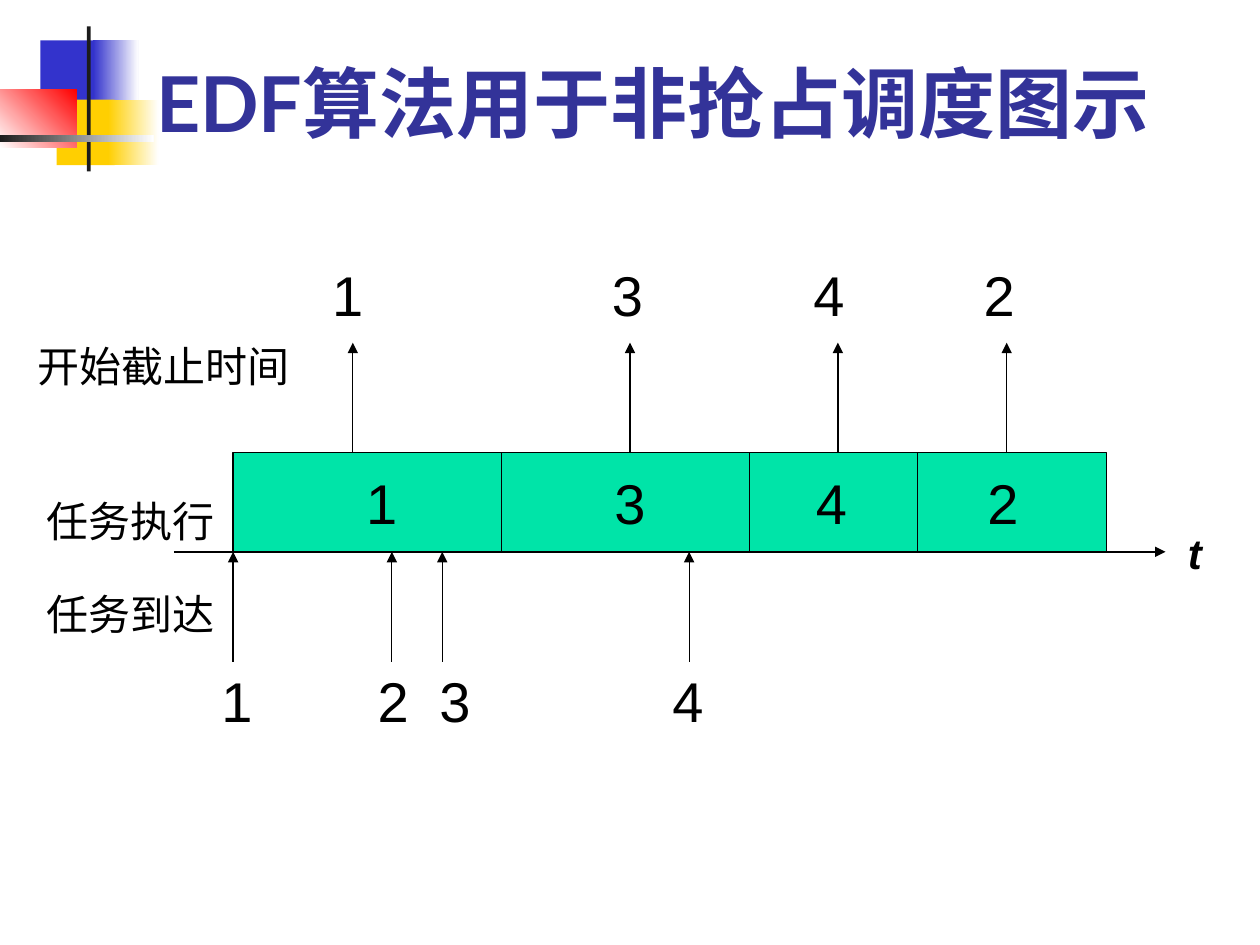
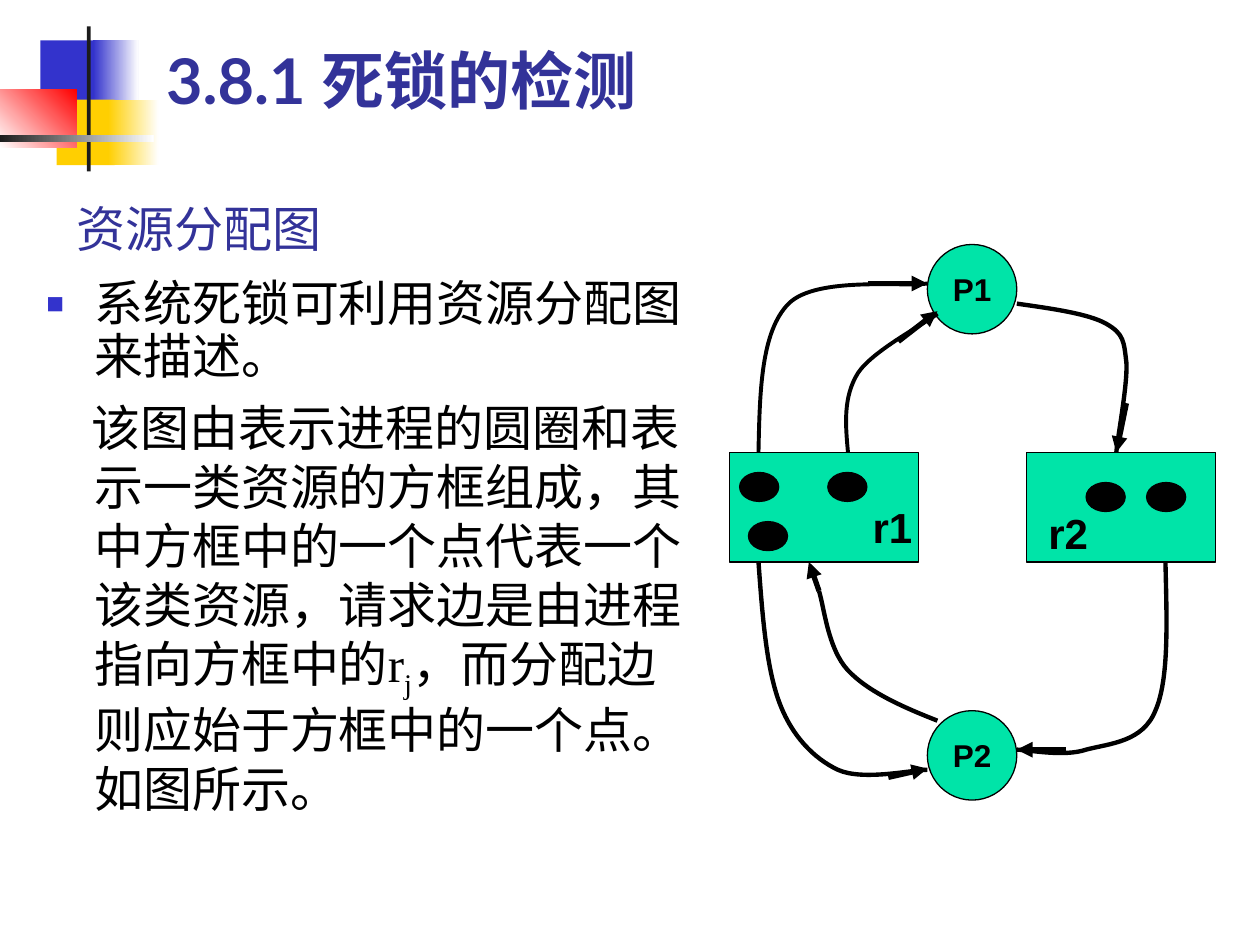
from lxml import etree
from pptx import Presentation
from pptx.dml.color import RGBColor
from pptx.enum.shapes import MSO_CONNECTOR, MSO_SHAPE
from pptx.enum.text import MSO_ANCHOR, PP_ALIGN
from pptx.oxml.ns import qn
from pptx.util import Inches, Pt

RECT, OVAL, STRAIGHT = MSO_SHAPE.RECTANGLE, MSO_SHAPE.OVAL, MSO_CONNECTOR.STRAIGHT
TOP, MIDDLE, BOTTOM = MSO_ANCHOR.TOP, MSO_ANCHOR.MIDDLE, MSO_ANCHOR.BOTTOM
LEFT, CENTER, RIGHT = PP_ALIGN.LEFT, PP_ALIGN.CENTER, PP_ALIGN.RIGHT

COLORS = {"title": "333399", "blue": "3333CC", "yellow": "FFCF01", "red": "FF0000",
          "dark": "1C1C1C", "green": "00E4A8", "black": "000000", "white": "FFFFFF"}
INSETS = (0.1, 0.05, 0.1, 0.05)
TITLE = {"font": "Lato", "color": "title", "bold": True, "anchor": BOTTOM}

# Corner ornament: place, colours (two make a gradient), gradient angle
ORNAMENT = [
    ((0.32, 0.32, 0.48, 0.52), ("blue",), 0),
    ((0.74, 0.32, 0.36, 0.52), ("blue", "white"), 0),
    ((0.45, 0.79, 0.46, 0.52), ("yellow",), 0),
    ((0.86, 0.79, 0.4, 0.52), ("yellow", "white"), 0),
    ((0, 0.71, 0.61, 0.46), ("white", "red"), 45),
    ((0.69, 0.21, 0.03, 1.15), ("dark",), 0),
    ((0, 1.07, 1.22, 0.06), ("dark", "white"), 0),
]

# Schedule: each number with the x of its centre
BAR_LEFT, BAR_RIGHT, BAR_TOP, AXIS_Y = 1.85, 8.78, 3.59, 4.38
ARROW_LENGTH = 0.87
TASK_BORDERS = [3.98, 5.95, 7.28]
EXECUTED = [("1", 3.03), ("3", 5), ("4", 6.6), ("2", 7.96)]
DEADLINES = [("1", 2.76), ("3", 4.98), ("4", 6.58), ("2", 7.93)]
ARRIVALS = [("1", 1.88), ("2", 3.12), ("3", 3.61), ("4", 5.46)]
DEADLINE_ARROWS = [2.8, 5, 6.65, 7.99]
ARRIVAL_ARROWS = [1.85, 3.11, 3.51, 5.47]
ROW_LABELS = [("开始截止时间", (0.2, 2.65, 2.6, 0.5)),
              ("任务执行", (0.27, 3.88, 1.58, 0.5)),
              ("任务到达", (0.27, 4.62, 1.58, 0.5))]

# Resource graph
INTRO = "系统死锁可利用资源分配图来描述。"
EXPLANATION = [
    ("该图由表示进程的圆圈和表示一类资源的方框组成，其中方框中的一个点代表"
     "一个该类资源，请求边是由进程指向方框中的r", 0),
    ("j", -25000),
    ("，而分配边则应始于方框中的一个点。如图所示。", 0),
]
RESOURCES = [("r1", 5.79, RIGHT, (0.1, 0.05, 0.05, 0.08)),
             ("r2", 8.15, LEFT, (0.17, 0.05, 0.1, 0.03))]
PROCESSES = [("P2", 5.64), ("P1", 1.94)]
UNITS = [(5.87, 3.75), (6.57, 3.75), (5.94, 4.14), (8.62, 3.83), (9.1, 3.83)]
# Edges: curve width, Bezier points (start, then threes), arrow from, arrow to
EDGES = [
    (2.5, [(7.44, 5.72), (7.16, 5.61), (6.89, 5.49), (6.73, 5.32),
           (6.57, 5.15), (6.54, 4.81), (6.5, 4.69)], (6.5, 4.69), (6.42, 4.46)),
    (2.25, [(6.02, 3.59), (6.03, 3.11), (6.04, 2.63), (6.26, 2.41),
            (6.48, 2.19), (7.18, 2.28), (7.36, 2.25)], (6.89, 2.25), (7.36, 2.25)),
    (2.25, [(6.73, 3.59), (6.71, 3.37), (6.69, 3.15), (6.81, 2.96),
            (6.93, 2.78), (7.34, 2.57), (7.44, 2.49)], (7.13, 2.71), (7.44, 2.47)),
    (2.5, [(8.07, 2.41), (8.35, 2.45), (8.64, 2.49), (8.78, 2.57),
           (8.92, 2.65), (8.92, 2.71), (8.94, 2.88),
           (8.95, 3.05), (8.87, 3.47), (8.86, 3.59)], (8.94, 3.2), (8.86, 3.59)),
    (2.5, [(9.25, 4.46), (9.26, 4.92), (9.28, 5.39), (9.17, 5.64),
           (9.07, 5.89), (8.81, 5.9), (8.62, 5.95),
           (8.44, 6.01), (8.16, 5.95), (8.07, 5.95)], (8.46, 5.95), (8.07, 5.95)),
    (2.5, [(6.02, 4.46), (6.05, 4.87), (6.08, 5.28), (6.18, 5.56),
           (6.28, 5.84), (6.46, 6.02), (6.65, 6.11),
           (6.85, 6.2), (7.24, 6.11), (7.36, 6.11)], (7.05, 6.17), (7.36, 6.1)),
]


def rgb(name):
    return RGBColor.from_string(COLORS[name])


def set_frame(box, anchor=TOP, insets=INSETS):
    frame = box.text_frame
    frame.word_wrap = True
    frame.vertical_anchor = anchor
    (frame.margin_left, frame.margin_top,
     frame.margin_right, frame.margin_bottom) = map(Inches, insets)
    return frame


def set_font(para, size, font="Arial", color="black", bold=False, italic=False):
    para.font.name, para.font.size = font, Pt(size)
    para.font.bold, para.font.italic = bold, italic
    para.font.color.rgb = rgb(color)


def write(box, text, size, anchor=TOP, align=LEFT, insets=INSETS, **style):
    para = set_frame(box, anchor, insets).paragraphs[0]
    para.text, para.alignment = text, align
    set_font(para, size, **style)


def add_box(page, place):
    return page.shapes.add_textbox(*map(Inches, place))


def add_block(page, kind, place, fill, outlined=True):
    block = page.shapes.add_shape(kind, *map(Inches, place))
    block.shadow.inherit = False
    block.fill.solid()
    block.fill.fore_color.rgb = rgb(fill)
    if outlined:
        block.line.color.rgb = rgb("black")
        block.line.width = Pt(0.75)
    else:
        block.line.fill.background()
    return block


def add_line(page, start, end, width=0.75, arrow=True):
    line = page.shapes.add_connector(STRAIGHT, *map(Inches, start + end))
    line.line.color.rgb = rgb("black")
    line.line.width = Pt(width)
    if arrow:
        etree.SubElement(line.line._get_or_add_ln(), qn("a:tailEnd"), type="triangle")
    etree.SubElement(line._element.spPr, qn("a:effectLst"))


def add_curve(page, points, width):
    """Lay out the points as a freeform, then turn each three segments into a Bezier."""
    corners = [(Inches(x), Inches(y)) for x, y in points]
    builder = page.shapes.build_freeform(*corners[0])
    builder.add_line_segments(corners[1:], close=False)
    curve = builder.convert_to_shape()
    segments = list(curve._element.iter(qn("a:lnTo")))
    for first in range(0, len(segments), 3):
        bezier = etree.SubElement(segments[first].getparent(), qn("a:cubicBezTo"))
        for segment in segments[first:first + 3]:
            bezier.append(segment[0])
            segment.getparent().remove(segment)
    curve.shadow.inherit = False
    curve.fill.background()
    curve.line.color.rgb = rgb("black")
    curve.line.width = Pt(width)


def write_numbers(box, left, numbers, anchor=TOP):
    """Centre each number on its x by means of tab stops."""
    frame = set_frame(box, anchor, (0, 0.05, 0, 0.05))
    para = frame.paragraphs[0]
    para.text = "".join("\t" + number for number, _ in numbers)
    para.alignment = LEFT
    stops = etree.SubElement(para._p.get_or_add_pPr(), qn("a:tabLst"))
    for _, x in numbers:
        etree.SubElement(stops, qn("a:tab"), pos=str(Inches(x - left)), algn="ctr")
    set_font(para, 32)


def add_page(deck):
    page = deck.slides.add_slide(deck.slide_layouts[6])
    for place, colors, angle in ORNAMENT:
        block = add_block(page, RECT, place, colors[0], outlined=False)
        if len(colors) == 2:
            block.fill.gradient()
            block.fill.gradient_angle = angle
            for stop, color in zip(block.fill.gradient_stops, colors):
                stop.color.rgb = rgb(color)
    return page


def build_schedule(deck):
    page = add_page(deck)
    write(add_box(page, (1.14, 0.36, 8.59, 0.86)), "EDF算法用于非抢占调度图示", 44, **TITLE)
    bar_place = (BAR_LEFT, BAR_TOP, BAR_RIGHT - BAR_LEFT, AXIS_Y - BAR_TOP)
    bar = add_block(page, RECT, bar_place, "green")
    write_numbers(bar, BAR_LEFT, EXECUTED, MIDDLE)
    for x in TASK_BORDERS:
        add_line(page, (x, BAR_TOP), (x, AXIS_Y), arrow=False)
    add_line(page, (1.38, AXIS_Y), (9.25, AXIS_Y))
    for x in ARRIVAL_ARROWS:
        add_line(page, (x, AXIS_Y + ARROW_LENGTH), (x, AXIS_Y))
    for x in DEADLINE_ARROWS:
        add_line(page, (x, BAR_TOP), (x, BAR_TOP - ARROW_LENGTH))
    write(add_box(page, (9.33, 4.14, 0.39, 0.5)), "t", 24, bold=True, italic=True)
    for label, place in ROW_LABELS:
        write(add_box(page, place), label, 24)
    for left, top, width, numbers in [(2.16, 2.02, 6.06, DEADLINES),
                                      (1.53, 5.24, 4.41, ARRIVALS)]:
        write_numbers(add_box(page, (left, top, width, 0.64)), left, numbers)


def add_explanation(page):
    frame = set_frame(add_box(page, (0.27, 2.17, 5.35, 4.5)))
    intro, detail = frame.paragraphs[0], frame.add_paragraph()
    intro.text = INTRO
    intro.line_spacing = 0.9
    detail.space_before = Pt(7)
    for para, indent in ((intro, -0.38), (detail, -0.02)):
        props = para._p.get_or_add_pPr()
        props.set("marL", str(Inches(0.38)))
        props.set("indent", str(Inches(indent)))
    bullet = intro._p.get_or_add_pPr()
    tint = etree.SubElement(bullet, qn("a:buClr"))
    etree.SubElement(tint, qn("a:srgbClr"), val=COLORS["blue"])
    etree.SubElement(bullet, qn("a:buSzPct"), val="60000")
    etree.SubElement(bullet, qn("a:buFont"), typeface="Arial")
    etree.SubElement(bullet, qn("a:buChar"), char="■")
    for text, baseline in EXPLANATION:
        span = detail.add_run()
        span.text = text
        if baseline:
            span._r.get_or_add_rPr().set("baseline", str(baseline))
    for para in (intro, detail):
        set_font(para, 28, font="Times New Roman")


def build_resource_graph(deck):
    page = add_page(deck)
    heading = add_block(page, RECT, (0.51, 1.47, 3.39, 0.62), "white", outlined=False)
    write(heading, "资源分配图", 28, **{**TITLE, "bold": False})
    add_explanation(page)
    write(add_box(page, (1.22, 0.28, 8.52, 0.7)), "3.8.1 死锁的检测", 36, **TITLE)
    for name, left, align, insets in RESOURCES:
        box = add_block(page, RECT, (left, 3.59, 1.5, 0.87), "green")
        write(box, name, 24, BOTTOM, align, insets, bold=True)
    for name, top in PROCESSES:
        circle = add_block(page, OVAL, (7.36, top, 0.71, 0.71), "green")
        write(circle, name, 18, MIDDLE, CENTER, (0, 0, 0, 0), bold=True)
    for left, top in UNITS:
        add_block(page, OVAL, (left, top, 0.31, 0.23), "black")
    for width, points, start, end in EDGES:
        add_curve(page, points, width)
        add_line(page, start, end, width=3)


def main():
    deck = Presentation()
    deck.slide_width, deck.slide_height = Inches(10), Inches(7.5)
    build_schedule(deck)
    build_resource_graph(deck)
    deck.save("out.pptx")


if __name__ == "__main__":
    main()
